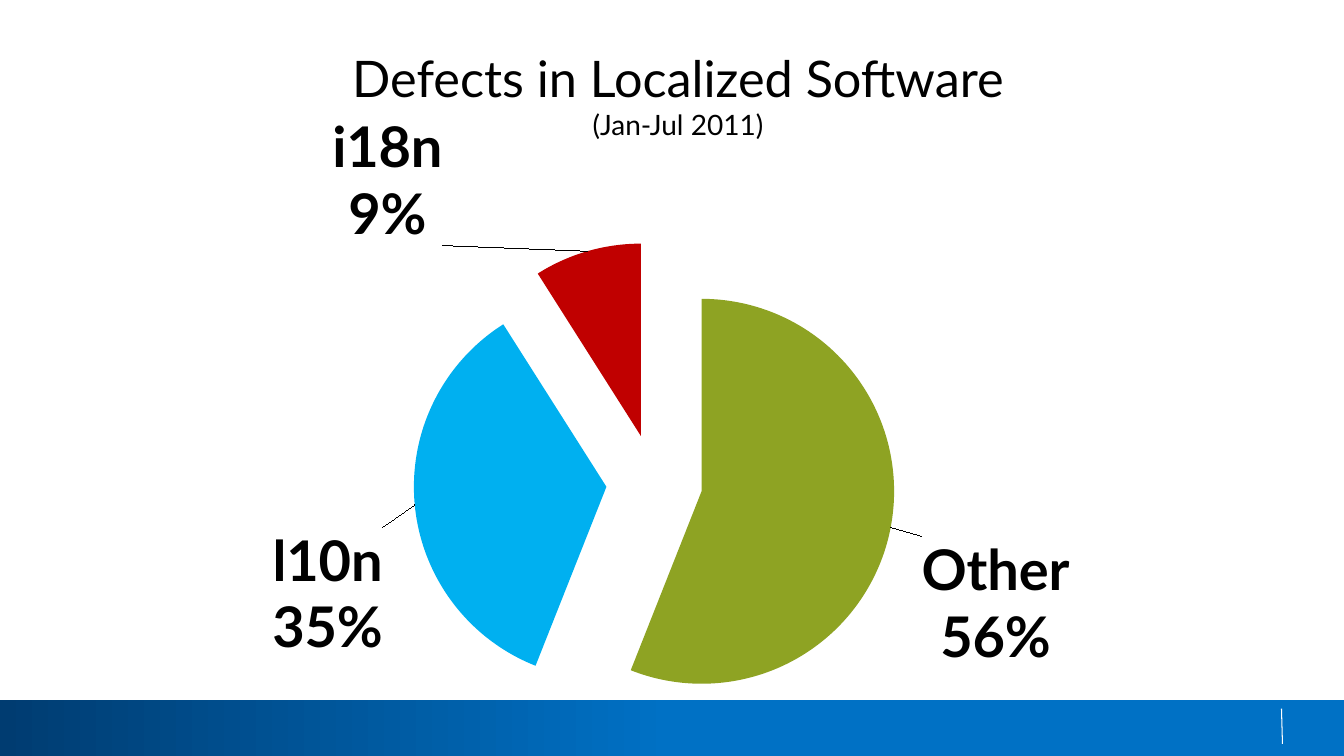
"""Build the slide with a pie chart of defects in localized software."""
import lxml.etree
import pptx
import pptx.chart.data
import pptx.dml.color
import pptx.enum.chart
import pptx.enum.shapes
import pptx.enum.text
import pptx.oxml
import pptx.oxml.ns
import pptx.util

BLACK = pptx.dml.color.RGBColor(0x00, 0x00, 0x00)
WHITE = pptx.dml.color.RGBColor(0xFF, 0xFF, 0xFF)
NAVY = pptx.dml.color.RGBColor(0x00, 0x3C, 0x71)
BLUE = pptx.dml.color.RGBColor(0x00, 0x71, 0xC5)
GREEN = pptx.dml.color.RGBColor(0x8E, 0xA3, 0x23)
SKY = pptx.dml.color.RGBColor(0x00, 0xB0, 0xF0)
RED = pptx.dml.color.RGBColor(0xC0, 0x00, 0x00)
FONT = "Lato"
NAMESPACES = pptx.oxml.ns.nsdecls("c", "a")
SLICES = [
    ("Other", 56, GREEN, 0.025, 0.012),
    ("l10n", 35, SKY, -0.026, 0.033),
    ("i18n", 9, RED, -0.142, 0),
]
inches = pptx.util.Inches

deck = pptx.Presentation()
deck.slide_width, deck.slide_height = inches(13.33), inches(7.5)
page = deck.slides.add_slide(deck.slide_layouts[5])

footer = page.shapes.add_shape(
    pptx.enum.shapes.MSO_SHAPE.RECTANGLE, 0, inches(6.94), deck.slide_width, inches(0.56))
footer.shadow.inherit = False
footer.line.fill.background()
footer.fill.gradient()
footer.fill.gradient_angle = 0
for stop, color, position in zip(footer.fill.gradient_stops, (NAVY, BLUE), (0, 0.5)):
    stop.color.rgb = color
    stop.position = position

divider = page.shapes.add_connector(
    pptx.enum.shapes.MSO_CONNECTOR.STRAIGHT,
    inches(12.71), inches(7.03), inches(12.72), inches(7.38))
divider.line.color.rgb = WHITE
divider.line.width = pptx.util.Pt(0.75)
lxml.etree.SubElement(divider._element.spPr, pptx.oxml.ns.qn("a:effectLst"))

data = pptx.chart.data.CategoryChartData()
data.categories = [name for name, *rest in SLICES]
data.add_series("Series 1", [share for name, share, *rest in SLICES])
chart = page.shapes.add_chart(
    pptx.enum.chart.XL_CHART_TYPE.PIE,
    inches(1.67), inches(0.96), inches(10), inches(6.54), data).chart
chart.has_title = False
chart.has_legend = False
chart.font.name = FONT
chart.font.size = pptx.util.Pt(18)
chart.font.color.rgb = BLACK
chart.plots[0].vary_by_categories = True

plot_area = chart._chartSpace.chart.plotArea
for old_layout in plot_area.findall(pptx.oxml.ns.qn("c:layout")):
    plot_area.remove(old_layout)
plot_area.insert(0, pptx.oxml.parse_xml(
    f'<c:layout {NAMESPACES}><c:manualLayout><c:layoutTarget val="inner"/>'
    '<c:xMode val="edge"/><c:yMode val="edge"/><c:x val="0.243"/><c:y val="0.22"/>'
    '<c:w val="0.478"/><c:h val="0.73"/></c:manualLayout></c:layout>'))

series = chart.plots[0].series[0]
for index, (name, share, color, *offset) in enumerate(SLICES):
    fill = series.points[index].format.fill
    fill.solid()
    fill.fore_color.rgb = color
series._element.find(pptx.oxml.ns.qn("c:dPt")).addprevious(
    pptx.oxml.parse_xml(f'<c:explosion {NAMESPACES} val="25"/>'))

label_style = (
    '<c:numFmt formatCode="0%" sourceLinked="0"/><c:spPr><a:noFill/></c:spPr>'
    '<c:txPr><a:bodyPr/><a:p><a:pPr><a:defRPr sz="4000" b="1">'
    f'<a:solidFill><a:srgbClr val="{BLACK}"/></a:solidFill><a:latin typeface="{FONT}"/>'
    '</a:defRPr></a:pPr><a:endParaRPr lang="en-US"/></a:p></c:txPr>'
    '<c:dLblPos val="outEnd"/><c:showLegendKey val="0"/><c:showVal val="0"/>'
    '<c:showCatName val="1"/><c:showSerName val="0"/><c:showPercent val="1"/>'
    '<c:showBubbleSize val="0"/><c:separator>\n</c:separator>')
point_labels = "".join(
    f'<c:dLbl><c:idx val="{index}"/><c:layout><c:manualLayout><c:x val="{across}"/>'
    f'<c:y val="{down}"/></c:manualLayout></c:layout>{label_style}</c:dLbl>'
    for index, (name, share, color, across, down) in enumerate(SLICES))
series._element.find(pptx.oxml.ns.qn("c:cat")).addprevious(pptx.oxml.parse_xml(
    f'<c:dLbls {NAMESPACES}>{point_labels}{label_style}<c:showLeaderLines val="1"/></c:dLbls>'))

title = page.shapes.title
title.left, title.top = inches(2.16), inches(0.45)
title.width, title.height = inches(9.13), inches(0.97)
frame = title.text_frame
frame.margin_left = frame.margin_right = frame.margin_top = frame.margin_bottom = 0
frame.word_wrap = True
frame.auto_size = pptx.enum.text.MSO_AUTO_SIZE.NONE
frame.vertical_anchor = pptx.enum.text.MSO_ANCHOR.MIDDLE
frame.text = "Defects in Localized Software\v(Jan-Jul 2011)"
para = frame.paragraphs[0]
para.alignment = pptx.enum.text.PP_ALIGN.CENTER
for span, size in zip(para.runs, (36, 20)):
    span.font.name = FONT
    span.font.size = pptx.util.Pt(size)
    span.font.color.rgb = BLACK

deck.save("out.pptx")
